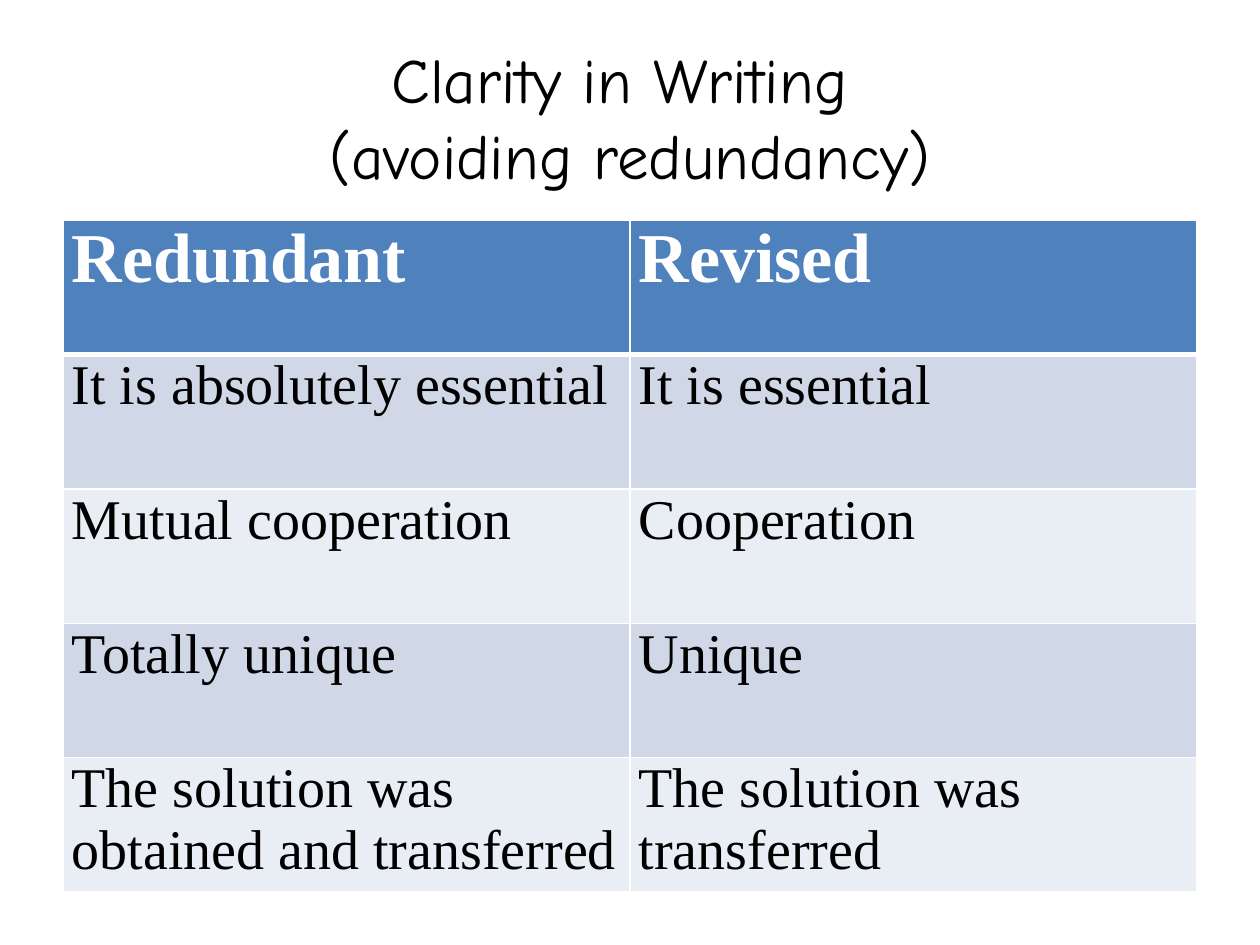
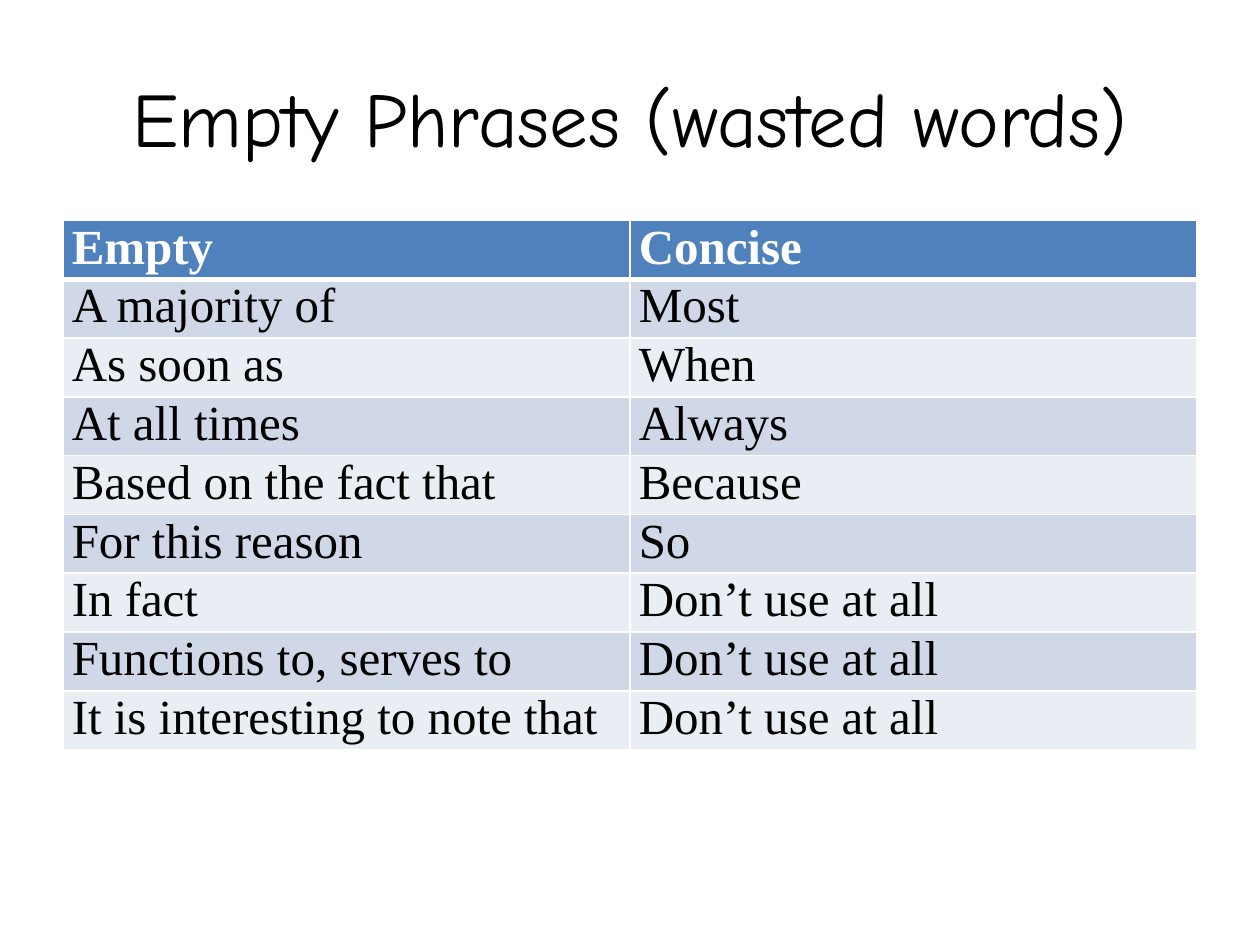
from pptx import Presentation
from pptx.dml.color import RGBColor
from pptx.enum.text import MSO_ANCHOR as Anchor, MSO_AUTO_SIZE as AutoSize, PP_ALIGN as Align
from pptx.oxml.ns import qn
from pptx.util import Inches, Pt
from lxml.etree import SubElement

COLORS = {"ink": "000000", "paper": "FFFFFF", "header": "4F81BD",
          "odd": "D0D8E8", "even": "E9EDF4"}
FONTS = {"title": "Comic Neue", "table": "Times New Roman"}
WIDTH, HEIGHT = Inches(10), Inches(7.5)
TITLE_BOX = (0.05, 0.04, 0.9, 1 / 6)
TABLE_LEFT, TABLE_TOP, TABLE_WIDTH = 0.05, 1.75 / 7.5, 0.9
THIN, THICK = 1, 3

SLIDES = [
    {"title": "Clarity in Writing \v(avoiding redundancy)", "title_size": 36,
     "header_size": 40, "body_size": 32, "table_height": 5.33 / 7.5,
     "rows": [("Redundant", "Revised"),
              ("It is absolutely essential", "It is essential"),
              ("Mutual cooperation", "Cooperation"),
              ("Totally unique", "Unique"),
              ("The solution was obtained and transferred",
               "The solution was transferred")]},
    {"title": "Empty Phrases (wasted words)", "title_size": 44,
     "header_size": 28, "body_size": 28, "table_height": 0.56,
     "rows": [("Empty", "Concise"),
              ("A majority of", "Most"),
              ("As soon as", "When"),
              ("At all times", "Always"),
              ("Based on the fact that", "Because"),
              ("For this reason", "So"),
              ("In fact", "Don’t use at all"),
              ("Functions to, serves to", "Don’t use at all"),
              ("It is interesting to note that", "Don’t use at all")]},
]


def color(name):
    """Return a palette colour."""
    return RGBColor.from_string(COLORS[name])


def apply(target, **values):
    """Set several attributes of one object."""
    for attribute, value in values.items():
        setattr(target, attribute, value)


def place(box):
    """Turn shares of the slide into left, top, width and height."""
    return [round(share * side) for share, side in zip(box, (WIDTH, HEIGHT) * 2)]


def style_text(frame, font, size, ink, bold, align):
    """Format every paragraph and run of a text frame."""
    for paragraph in frame.paragraphs:
        paragraph.alignment = align
        for run in paragraph.runs:
            apply(run.font, name=FONTS[font], size=Pt(size), bold=bold)
            run.font.color.rgb = color(ink)


def add_title(slide, box, text, size):
    """Fill and place the title placeholder."""
    title = slide.shapes.title
    apply(title, **dict(zip(("left", "top", "width", "height"), place(box))))
    frame = title.text_frame
    frame.text = text
    apply(frame, vertical_anchor=Anchor.MIDDLE, word_wrap=True, auto_size=AutoSize.NONE)
    style_text(frame, "title", size, "ink", False, Align.CENTER)


def add_borders(cell, **widths):
    """Draw white cell borders of the given point widths."""
    properties = cell._tc.get_or_add_tcPr()
    for side in "LRTB":
        line = SubElement(properties, qn(f"a:ln{side}"), w=str(Pt(widths.get(side, THIN))))
        fill = SubElement(line, qn("a:solidFill"))
        SubElement(fill, qn("a:srgbClr"), val=COLORS["paper"])


def add_comparison(slide, box, rows, header_size, body_size):
    """Build a banded table of wordy and better phrases."""
    left, top, width, height = place(box)
    columns = len(rows[0])
    table = slide.shapes.add_table(len(rows), columns, left, top, width, height).table
    for column in table.columns:
        column.width = width // columns
    for index, phrases in enumerate(rows):
        table.rows[index].height = height // len(rows)
        is_header = index == 0
        band = "header" if is_header else "odd" if index % 2 else "even"
        for cell, phrase in zip(table.rows[index].cells, phrases):
            cell.text = phrase
            apply(cell, margin_left=Inches(0.07), margin_right=Inches(0.07),
                  margin_top=0, margin_bottom=0, vertical_anchor=Anchor.TOP)
            add_borders(cell, T=THICK if index == 1 else THIN,
                        B=THICK if is_header else THIN)
            cell.fill.solid()
            cell.fill.fore_color.rgb = color(band)
            style_text(cell.text_frame, "table", header_size if is_header else body_size,
                       "paper" if is_header else "ink", is_header, Align.LEFT)


def add_comparison_slide(deck, content):
    """Add a slide with a title above a comparison table."""
    slide = deck.slides.add_slide(deck.slide_layouts.get_by_name("Title Only"))
    slide.background.fill.solid()
    slide.background.fill.fore_color.rgb = color("paper")
    add_title(slide, TITLE_BOX, content["title"], content["title_size"])
    add_comparison(slide, (TABLE_LEFT, TABLE_TOP, TABLE_WIDTH, content["table_height"]),
                   content["rows"], content["header_size"], content["body_size"])


def main():
    """Build and save the presentation."""
    deck = Presentation()
    apply(deck, slide_width=WIDTH, slide_height=HEIGHT)
    for content in SLIDES:
        add_comparison_slide(deck, content)
    deck.save("out.pptx")


main()
